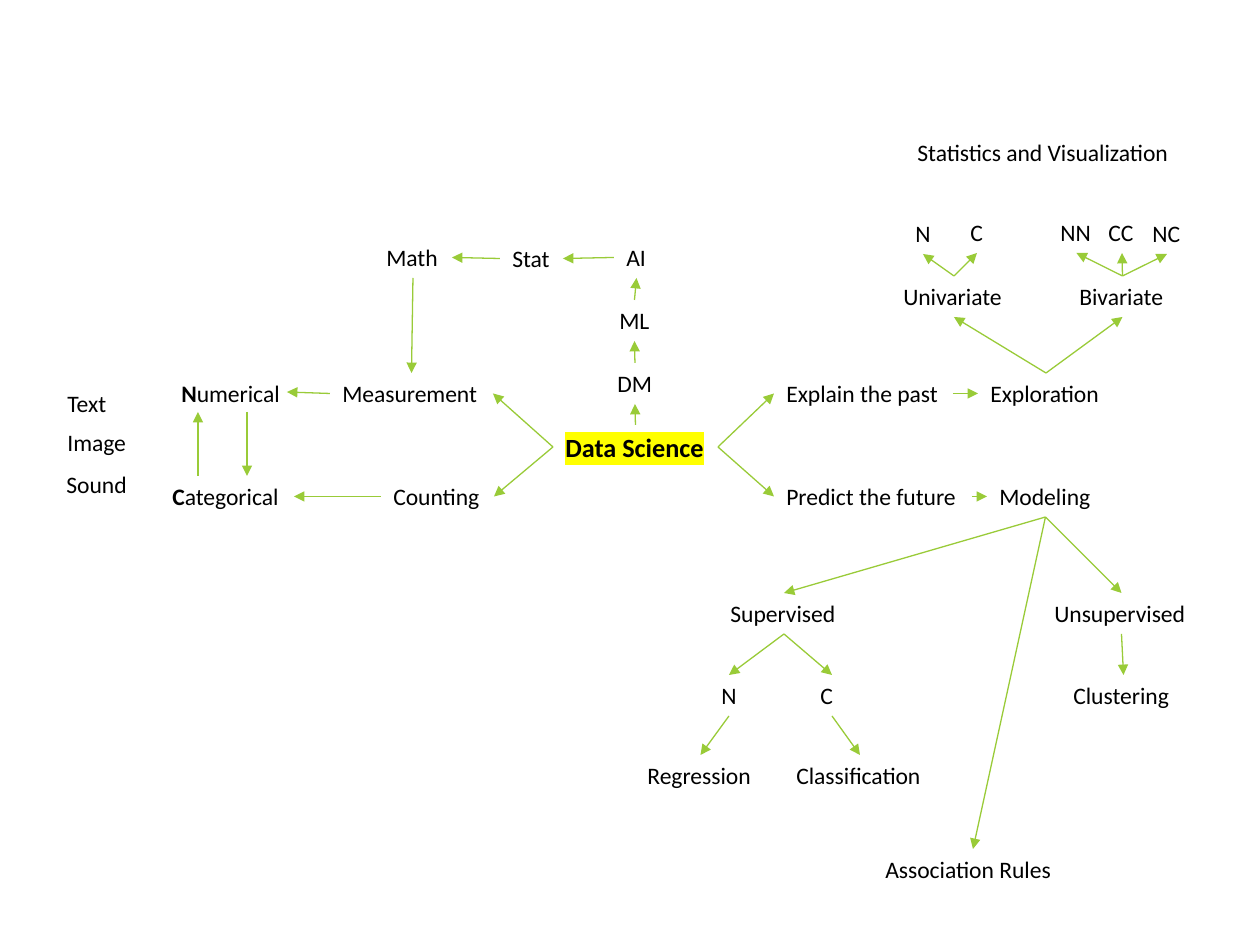
"""Build a mind map of data science on one slide."""
import pptx
import pptx.dml.color
import pptx.enum.shapes
import pptx.enum.text
import pptx.oxml
import pptx.oxml.ns
import pptx.util

PX = 914400 / 126
TOP, LEFT, BASE, RIGHT = range(4)
qn = pptx.oxml.ns.qn
NS = pptx.oxml.ns.nsdecls("a")


def px(*nums):
    return [round(n * PX) for n in nums]


def hue(code):
    return pptx.dml.color.RGBColor.from_string(code)


deck = pptx.Presentation()
deck.slide_width, deck.slide_height = px(1260, 945)
slide = deck.slides.add_slide(deck.slide_layouts[6])

root = "Data Science"
labels = [
    ("root", root, 553, 425, 165),
    ("measure", "Measurement", 330, 373, 163),
    ("count", "Counting", 381, 476, 113),
    ("number", "Numerical", 169, 373, 125),
    ("category", "Categorical", 160, 476, 134),
    ("text", "Text", 55, 383, 66),
    ("image", "Image", 55, 422, 84),
    ("sound", "Sound", 54, 464, 87),
    ("dm", "DM", 605, 363, 60),
    ("ml", "ML", 607, 300, 55),
    ("ai", "AI", 614, 237, 45),
    ("stat", "Stat", 500, 238, 63),
    ("math", "Math", 374, 237, 78),
    ("past", "Explain the past", 774, 373, 179),
    ("future", "Predict the future", 774, 476, 198),
    ("explore", "Exploration", 978, 373, 136),
    ("model", "Modeling", 987, 476, 117),
    ("uni", "Univariate", 891, 276, 126),
    ("bi", "Bivariate", 1067, 276, 111),
    ("nn", "NN", 1048, 212, 57),
    ("nc", "NC", 1140, 213, 54),
    ("cc", "CC", 1096, 212, 52),
    ("uni n", "N", 903, 213, 40),
    ("uni c", "C", 958, 212, 38),
    ("super", "Supervised", 718, 593, 132),
    ("unsuper", "Unsupervised", 1042, 593, 159),
    ("cluster", "Clustering", 1061, 675, 125),
    ("super n", "N", 709, 675, 40),
    ("super c", "C", 808, 675, 48),
    ("regress", "Regression", 635, 755, 131),
    ("classify", "Classification", 784, 755, 152),
    ("rules", "Association Rules", 873, 849, 200),
    ("visual", "Statistics and Visualization", 905, 132, 281),
]
wrapped = {"cluster", "super c", "rules"}
initial = {"number", "category"}

boxes = {}
for name, words, x, y, w in labels:
    main = name == "root"
    box = slide.shapes.add_textbox(*px(x, y, w, 44 if main else 41))
    boxes[name] = box
    frame = box.text_frame
    frame.word_wrap = name in wrapped
    frame.auto_size = pptx.enum.text.MSO_AUTO_SIZE.SHAPE_TO_FIT_TEXT
    parts = [(words, main)]
    if name in initial:
        parts = [(words[0], True), (words[1:], False)]
    for part, bold in parts:
        run = frame.paragraphs[0].add_run()
        run.text = part
        style = {"name": "Calibri", "bold": bold,
                 "size": pptx.util.Pt(15 if main else 13.5)}
        for key, value in style.items():
            setattr(run.font, key, value)
        run.font.color.rgb = hue("000000")
        if main:
            mark = pptx.oxml.parse_xml(
                f'<a:highlight {NS}><a:srgbClr val="FFFF00"/></a:highlight>')
            run._r.rPr.find(qn("a:solidFill")).addnext(mark)


def arrow(start=(0, 0), end=(0, 0)):
    line = slide.shapes.add_connector(
        pptx.enum.shapes.MSO_CONNECTOR.STRAIGHT, *px(*start, *end))
    line.line.color.rgb = hue("99CB38")
    line.line.width = pptx.util.Pt(0.75)
    props = line._element.spPr
    props.find(qn("a:ln")).append(
        pptx.oxml.parse_xml(f'<a:tailEnd {NS} type="triangle"/>'))
    props.append(pptx.oxml.parse_xml(f"<a:effectLst {NS}/>"))
    return line


links = [
    ("root", LEFT, RIGHT, ["measure", "count"]),
    ("root", RIGHT, LEFT, ["past", "future"]),
    ("root", TOP, BASE, ["dm"]),
    ("dm", TOP, BASE, ["ml"]),
    ("ml", TOP, BASE, ["ai"]),
    ("ai", LEFT, RIGHT, ["stat"]),
    ("stat", LEFT, RIGHT, ["math"]),
    ("math", BASE, TOP, ["measure"]),
    ("count", LEFT, RIGHT, ["category"]),
    ("past", RIGHT, LEFT, ["explore"]),
    ("future", RIGHT, LEFT, ["model"]),
    ("explore", TOP, BASE, ["uni", "bi"]),
    ("uni", TOP, BASE, ["uni n", "uni c"]),
    ("bi", TOP, BASE, ["nn", "cc", "nc"]),
    ("model", BASE, TOP, ["super", "unsuper", "rules"]),
    ("super", BASE, TOP, ["super n", "super c"]),
    ("unsuper", BASE, TOP, ["cluster"]),
    ("super n", BASE, TOP, ["regress"]),
    ("super c", BASE, TOP, ["classify"]),
]
for source, out, into, goals in links:
    for goal in goals:
        line = arrow()
        line.begin_connect(boxes[source], out)
        line.end_connect(boxes[goal], into)

arrow((247, 412), (247, 476))
arrow((198, 476), (198, 412))
arrow(end=(287, 392)).begin_connect(boxes["measure"], LEFT)

deck.save("out.pptx")
